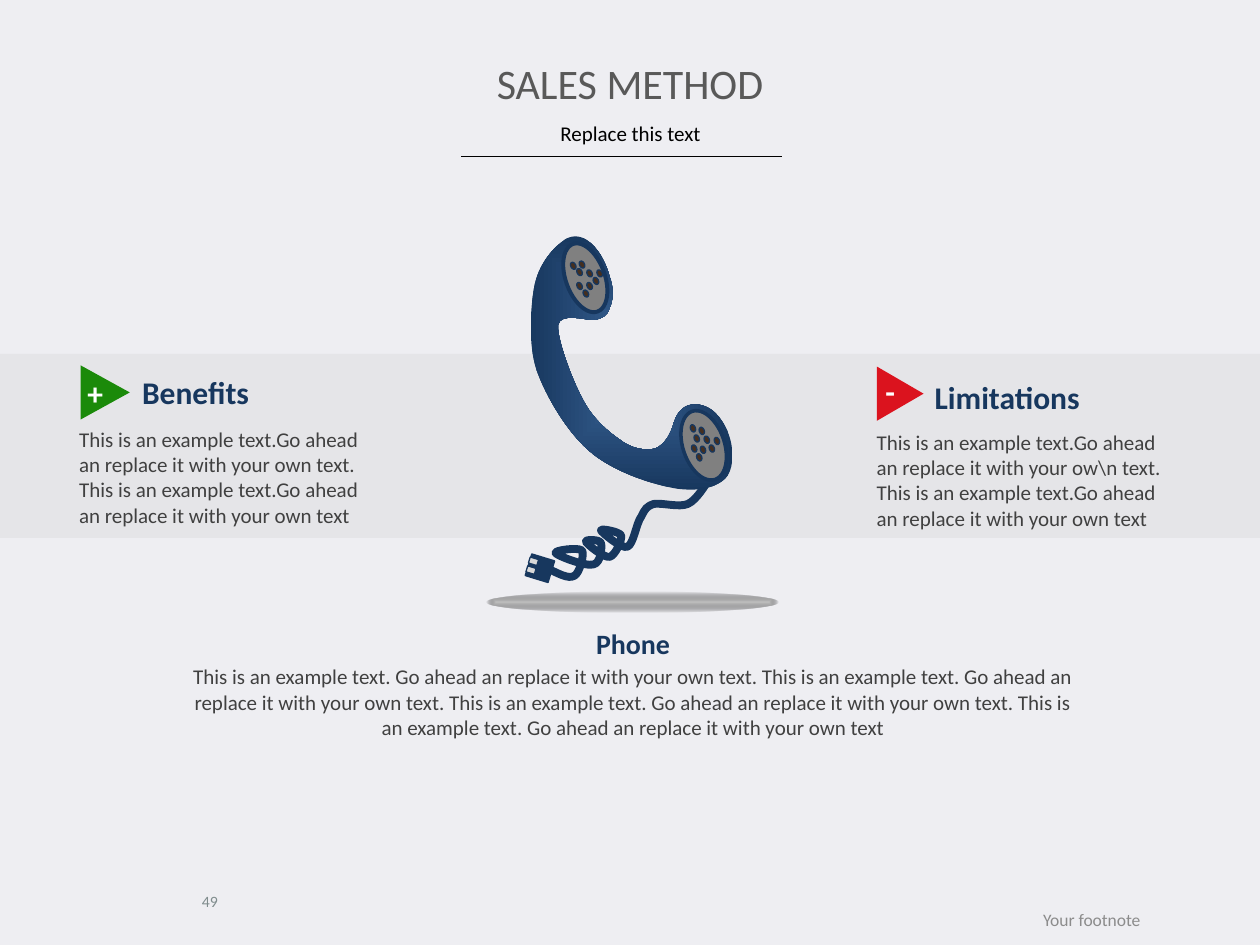
from lxml.etree import SubElement
from pptx import Presentation
from pptx.dml.color import RGBColor
from pptx.enum.shapes import MSO_CONNECTOR, MSO_SHAPE
from pptx.enum.text import MSO_ANCHOR, MSO_AUTO_SIZE, PP_ALIGN
from pptx.oxml.ns import qn
from pptx.util import Inches, Pt

NAVY, GRAY, BLACK, WHITE = "17375E", "404040", "000000", "FFFFFF"
color = RGBColor.from_string

presentation = Presentation()
presentation.slide_width, presentation.slide_height = Inches(10), Inches(7.5)
slide = presentation.slides.add_slide(presentation.slide_layouts[5])
slide.background.fill.solid()
slide.background.fill.fore_color.rgb = color("EEEEF2")


def add_shape(kind, box, fill, line=None, width=0.75, rotation=0):
    shape = slide.shapes.add_shape(kind, *map(Inches, box))
    shape.shadow.inherit = False
    shape.rotation = rotation
    shape.fill.solid()
    shape.fill.fore_color.rgb = color(fill)
    if line:
        shape.line.color.rgb = color(line)
        shape.line.width = Pt(width)
    else:
        shape.line.fill.background()
    return shape


def write_text(box, paragraphs, align=PP_ALIGN.CENTER, anchor=MSO_ANCHOR.TOP,
               wrap=True, spacing=None, shape=None):
    """Fill a new text box, or the given shape, with (text, size, colour, bold)."""
    shape = shape or slide.shapes.add_textbox(0, 0, 0, 0)
    shape.left, shape.top, shape.width, shape.height = map(Inches, box)
    frame = shape.text_frame
    frame.auto_size = MSO_AUTO_SIZE.NONE
    frame.word_wrap, frame.vertical_anchor = wrap, anchor
    for index, (text, size, text_color, bold) in enumerate(paragraphs):
        paragraph = frame.add_paragraph() if index else frame.paragraphs[0]
        paragraph.alignment, paragraph.line_spacing = align, spacing
        paragraph.space_before = Pt(0.2 * size if index else 0)
        run = paragraph.add_run()
        run.text = text
        formats = {"name": "Calibri", "size": Pt(size), "bold": bold}
        for name, value in formats.items():
            setattr(run.font, name, value)
        run.font.color.rgb = color(text_color)


# Heading
write_text((0.69, 0.44, 8.62, 0.5), [("SALES METHOD", 24, "595959", False)],
           anchor=MSO_ANCHOR.MIDDLE, spacing=0.8, shape=slide.shapes.title)
write_text((0.69, 0.95, 8.63, 0.27), [("Replace this text", 12, BLACK, False)],
           spacing=0.8)
rule = slide.shapes.add_connector(
    MSO_CONNECTOR.STRAIGHT, *map(Inches, (3.66, 1.24, 6.21, 1.24)))
rule.line.color.rgb = color(BLACK)
rule.line.width = Pt(0.75)
SubElement(rule._element.spPr, qn("a:effectLst"))

# Band behind the phone
band = add_shape(MSO_SHAPE.RECTANGLE, (0, 2.81, 10, 1.46), "D9D9D9")
band_color = band._element.spPr.find(qn("a:solidFill"))[0]
SubElement(band_color, qn("a:alpha"), val="40000")

# Cord and handset: a start point, then three points for each Bezier curve
cord_points = [
    (4.34, 4.51), (4.43, 4.55), (4.51, 4.6), (4.56, 4.57),
    (4.6, 4.55), (4.64, 4.4), (4.62, 4.37), (4.59, 4.34), (4.39, 4.37), (4.41, 4.39),
    (4.42, 4.41), (4.65, 4.5), (4.71, 4.48), (4.77, 4.47), (4.78, 4.34), (4.77, 4.31),
    (4.76, 4.28), (4.64, 4.28), (4.65, 4.3), (4.66, 4.32), (4.79, 4.43), (4.84, 4.42),
    (4.88, 4.41), (4.94, 4.29), (4.93, 4.25), (4.92, 4.22), (4.76, 4.19), (4.77, 4.21),
    (4.77, 4.22), (4.93, 4.36), (4.98, 4.34), (5.03, 4.32), (5.05, 4.15), (5.09, 4.1),
    (5.12, 4.04), (5.13, 4.02), (5.19, 4), (5.26, 3.99), (5.39, 4.03), (5.46, 4),
    (5.53, 3.97), (5.61, 3.83), (5.61, 3.83)]
handset_points = [
    (4.46, 1.92), (4.38, 1.98), (4.27, 2.11), (4.24, 2.28),
    (4.21, 2.45), (4.19, 2.73), (4.26, 2.94), (4.34, 3.16), (4.51, 3.44), (4.69, 3.59),
    (4.88, 3.75), (5.19, 3.85), (5.38, 3.88), (5.56, 3.9), (5.66, 3.87), (5.73, 3.82),
    (5.81, 3.77), (5.82, 3.65), (5.81, 3.56), (5.8, 3.47), (5.76, 3.36), (5.68, 3.28),
    (5.59, 3.19), (5.41, 3.16), (5.35, 3.35), (5.32, 3.46), (5.27, 3.53), (5.2, 3.56),
    (5.12, 3.58), (5.01, 3.56), (4.92, 3.49), (4.82, 3.42), (4.7, 3.32), (4.62, 3.16),
    (4.54, 3.01), (4.42, 2.69), (4.43, 2.58), (4.45, 2.48), (4.64, 2.54), (4.71, 2.54),
    (4.78, 2.53), (4.82, 2.51), (4.84, 2.44), (4.87, 2.38), (4.87, 2.28), (4.84, 2.2),
    (4.82, 2.12), (4.77, 2), (4.69, 1.93), (4.61, 1.86), (4.53, 1.86), (4.46, 1.92)]
outlines = []
for points, closed in ((cord_points, False), (handset_points, True)):
    builder = slide.shapes.build_freeform(*map(Inches, points[0]))
    builder.add_line_segments([tuple(map(Inches, point)) for point in points[1:]],
                              close=closed)
    outline = builder.convert_to_shape()
    outline.shadow.inherit = False
    # Join every three line segments into one cubic curve
    segments = list(outline._element.iter(qn("a:lnTo")))
    for first, second, third in zip(segments[::3], segments[1::3], segments[2::3]):
        curve = first.getparent().makeelement(qn("a:cubicBezTo"))
        first.addprevious(curve)
        for segment in (first, second, third):
            curve.append(segment[0])
            segment.getparent().remove(segment)
    outlines.append(outline)
cord, handset = outlines
cord.fill.background()
cord.line.color.rgb = color(NAVY)
cord.line.width = Pt(4.5)
handset.line.fill.background()

# Earpiece and mouthpiece with their holes
earpiece_holes = [(4.53, 2.08), (4.6, 2.07), (4.58, 2.13), (4.58, 2.24), (4.66, 2.24),
                  (4.63, 2.3), (4.66, 2.14), (4.74, 2.14), (4.71, 2.2)]
mouthpiece_holes = [(5.48, 3.37), (5.55, 3.39), (5.51, 3.45), (5.49, 3.53), (5.56, 3.54),
                    (5.53, 3.6), (5.59, 3.46), (5.67, 3.47), (5.63, 3.53)]
for disc, width, tilt, holes, hole_tilt in (
        ((4.49, 1.92, 0.31, 0.57), 2.25, 340, earpiece_holes, 332.4),
        ((5.42, 3.25, 0.33, 0.57), 2, 341.5, mouthpiece_holes, 338.8)):
    add_shape(MSO_SHAPE.OVAL, disc, "808080", NAVY, width, tilt)
    for left, top in holes:
        add_shape(MSO_SHAPE.OVAL, (left, top, 0.04, 0.06), "462F1E", NAVY,
                  rotation=hole_tilt)

# Plug
for box, fill in (((4.19, 4.42, 0.19, 0.18), NAVY),
                  ((4.2, 4.43, 0.07, 0.05), "D9D9D9"),
                  ((4.18, 4.5, 0.07, 0.05), "D9D9D9")):
    add_shape(MSO_SHAPE.RECTANGLE, box, fill, NAVY, rotation=17)

# Caption and the ground shadow
example = "This is an example text. Go ahead an replace it with your own text"
write_text((1.39, 4.92, 7.27, 1.26),
           [("Phone", 16, NAVY, True), (". ".join([example] * 4), 12, GRAY, False)])
ground = add_shape(MSO_SHAPE.OVAL, (3.86, 4.7, 2.32, 0.16), "C2C2C2")

# Gradients running from the centre outwards
for shape, kind, inner, outer in ((handset, "rect", "376092", NAVY),
                                  (ground, "shape", "C2C2C2", BLACK)):
    shape.fill.gradient()
    for stop, position, stop_color in zip(shape.fill.gradient_stops, (0, 1),
                                          (inner, outer)):
        stop.position = position
        stop.color.rgb = color(stop_color)
    gradient = shape._element.spPr.find(qn("a:gradFill"))
    gradient.remove(gradient.find(qn("a:lin")))
    center = SubElement(gradient, qn("a:path"), path=kind)
    SubElement(center, qn("a:fillToRect"), l="50000", t="50000", r="50000", b="50000")
outer_color = ground._element.spPr.find(qn("a:gradFill")).find(qn("a:gsLst"))[1][0]
SubElement(outer_color, qn("a:alpha"), val="0")

# Benefits and limitations
for (heading, heading_box, body, body_box, anchor,
     sign, sign_box, marker_box, marker_color) in (
        ("Benefits", (1.03, 2.91, 2.77, 0.4),
         "This is an example text.Go ahead an replace it with your own text. "
         "This is an example text.Go ahead an replace it with your own text",
         (0.53, 3.33, 2.51, 0.91), MSO_ANCHOR.MIDDLE,
         "+", (0.58, 2.92, 0.35, 0.4), (0.62, 2.92, 0.43, 0.39), "1B8A0A"),
        ("Limitations", (7.32, 2.95, 2.64, 0.4),
         "This is an example text.Go ahead an replace it with your ow\\n text. "
         "This is an example text.Go ahead an replace it with your own text",
         (6.86, 3.36, 2.57, 0.91), MSO_ANCHOR.TOP,
         "-", (6.92, 2.9, 0.29, 0.4), (6.93, 2.94, 0.43, 0.37), "DB131E")):
    write_text(body_box, [(body, 12, GRAY, False)], PP_ALIGN.LEFT, anchor)
    write_text(heading_box, [(heading, 18, NAVY, True)], PP_ALIGN.LEFT)
    add_shape(MSO_SHAPE.ISOSCELES_TRIANGLE, marker_box, marker_color, rotation=90)
    write_text(sign_box, [(sign, 18, WHITE, True)], wrap=False)

# Page number and footnote
write_text((0.54, 6.95, 2.25, 0.4), [("49", 9, "7F8C8D", False)],
           anchor=MSO_ANCHOR.MIDDLE)
write_text((7.5, 7.09, 2.33, 0.42), [("Your footnote", 10, "8C8C8C", False)],
           anchor=MSO_ANCHOR.MIDDLE)

presentation.save("out.pptx")
